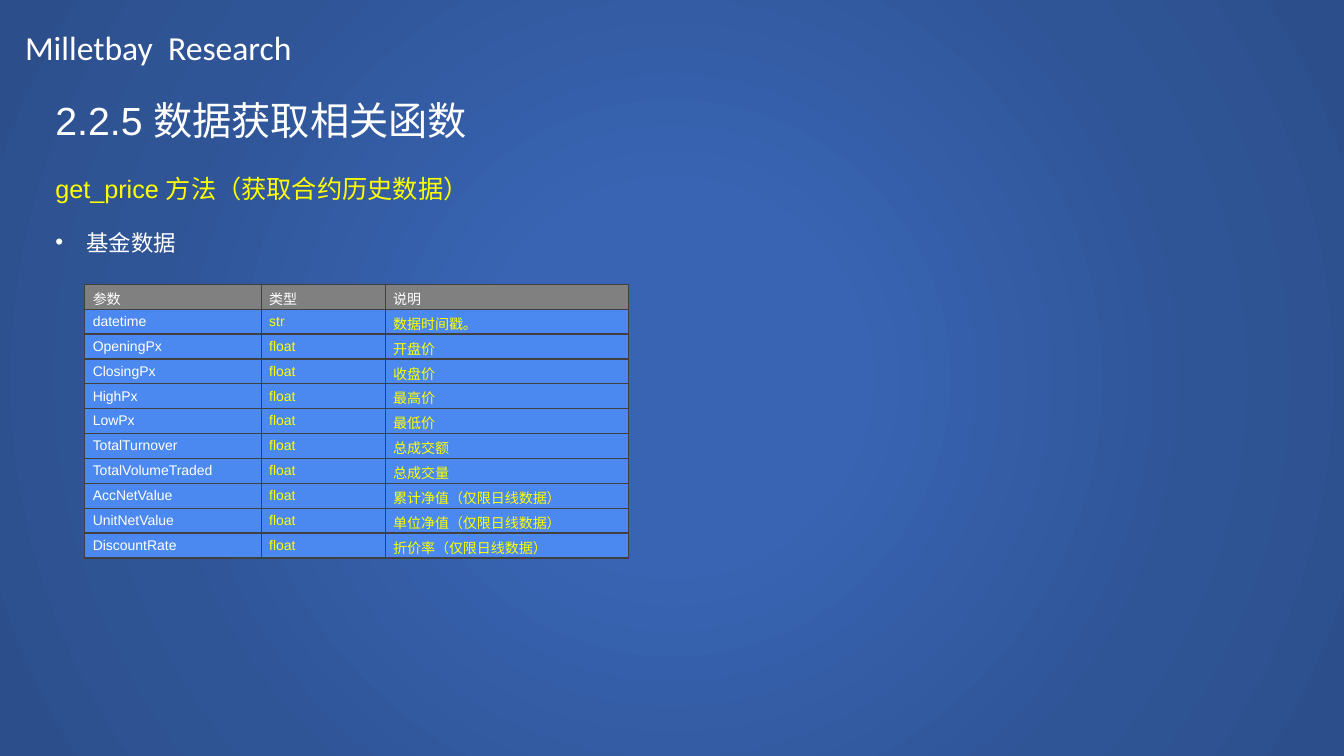
from pptx import Presentation
from pptx.dml.color import RGBColor
from pptx.enum.shapes import MSO_SHAPE
from pptx.enum.text import MSO_ANCHOR, MSO_AUTO_SIZE, PP_ALIGN
from pptx.oxml import parse_xml
from pptx.oxml.ns import nsdecls
from pptx.util import Inches, Pt

RECTANGLE = MSO_SHAPE.RECTANGLE
TOP, MIDDLE = MSO_ANCHOR.TOP, MSO_ANCHOR.MIDDLE
LEFT = PP_ALIGN.LEFT
FIXED_SIZE = MSO_AUTO_SIZE.NONE
TITLE_ONLY = 5

COLORS = {
    "white": "FFFFFF",
    "yellow": "FFFF00",
    "header": "808080",
    "body": "4B89F0",
    "border": "404040",
    "glow": "3864B3",
    "mid": "2F5597",
    "edge": "2C4F8C",
}
BACKDROP_STOPS = [(0, "glow"), (23, "glow"), (69, "mid"), (97, "edge")]

COLUMN_WIDTHS = [1.75, 1.23, 2.41]
ROW_HEIGHT = 2.66 / 11
FIELDS = [
    ("参数", "类型", "说明"),
    ("datetime", "str", "数据时间戳。"),
    ("OpeningPx", "float", "开盘价"),
    ("ClosingPx", "float", "收盘价"),
    ("HighPx", "float", "最高价"),
    ("LowPx", "float", "最低价"),
    ("TotalTurnover", "float", "总成交额"),
    ("TotalVolumeTraded", "float", "总成交量"),
    ("AccNetValue", "float", "累计净值（仅限日线数据）"),
    ("UnitNetValue", "float", "单位净值（仅限日线数据）"),
    ("DiscountRate", "float", "折价率（仅限日线数据）"),
]


def rgb(color):
    return RGBColor.from_string(COLORS[color])


def apply(target, values):
    for name, value in values.items():
        setattr(target, name, value)


def write(paragraph, text, size, color, font="Arial"):
    run = paragraph.add_run()
    run.text = text
    apply(run.font, {"size": Pt(size), "name": font, "bold": False})
    run.font.color.rgb = rgb(color)


def place(shape, left, top, width, height):
    apply(shape, {"left": Inches(left), "top": Inches(top),
                  "width": Inches(width), "height": Inches(height)})


def add_backdrop(slide, width, height):
    backdrop = slide.shapes.add_shape(RECTANGLE, 0, 0, width, height)
    backdrop.shadow.inherit = False
    backdrop.line.fill.background()
    stops = "".join(
        f'<a:gs pos="{position * 1000}"><a:srgbClr val="{COLORS[color]}"/></a:gs>'
        for position, color in BACKDROP_STOPS)
    gradient = parse_xml(
        f'<a:gradFill {nsdecls("a")} rotWithShape="1"><a:gsLst>{stops}</a:gsLst>'
        '<a:path path="circle"><a:fillToRect l="50000" t="50000" r="50000" b="50000"/>'
        '</a:path></a:gradFill>')
    backdrop._element.spPr.insert(2, gradient)
    slide.shapes._spTree.insert(2, backdrop._element)


def add_title(slide, text):
    title = slide.shapes.title
    place(title, 0.45, 0.91, 11.77, 0.65)
    frame = title.text_frame
    apply(frame, {"vertical_anchor": TOP, "auto_size": FIXED_SIZE, "word_wrap": True})
    heading = frame.paragraphs[0]
    heading.alignment = LEFT
    write(heading, text, 28, "white")


def add_text(slide, box, text, size, color, font="Arial"):
    label = slide.shapes.add_textbox(*map(Inches, box))
    label.text_frame.word_wrap = True
    write(label.text_frame.paragraphs[0], text, size, color, font)
    return label.text_frame


def add_bullet(frame, text, size, color):
    item = frame.add_paragraph()
    item.space_before = Pt(18)
    write(item, text, size, color)
    properties = item._p.get_or_add_pPr()
    properties.set("marL", str(Inches(0.31)))
    properties.set("indent", str(-Inches(0.31)))
    properties.append(parse_xml(f'<a:buFont {nsdecls("a")} typeface="Arial"/>'))
    properties.append(parse_xml(f'<a:buChar {nsdecls("a")} char="•"/>'))


def add_borders(cell):
    properties = cell._tc.get_or_add_tcPr()
    for index, side in enumerate(("lnL", "lnR", "lnT", "lnB")):
        properties.insert(index, parse_xml(
            f'<a:{side} {nsdecls("a")} w="{Pt(1)}"><a:solidFill>'
            f'<a:srgbClr val="{COLORS["border"]}"/></a:solidFill></a:{side}>'))


def fill_cell(cell, text, fill, color):
    apply(cell, {"margin_left": Inches(0.08), "margin_right": Inches(0.08),
                 "margin_top": Inches(0.04), "margin_bottom": Inches(0.04),
                 "vertical_anchor": MIDDLE})
    cell.fill.solid()
    cell.fill.fore_color.rgb = rgb(fill)
    write(cell.text_frame.paragraphs[0], text, 10, color)
    add_borders(cell)


def add_field_table(slide, left, top):
    table = slide.shapes.add_table(
        len(FIELDS), len(COLUMN_WIDTHS), Inches(left), Inches(top),
        Inches(sum(COLUMN_WIDTHS)), Inches(ROW_HEIGHT * len(FIELDS))).table
    for column, width in zip(table.columns, COLUMN_WIDTHS):
        column.width = Inches(width)
    for row_index, field in enumerate(FIELDS):
        table.rows[row_index].height = Inches(ROW_HEIGHT)
        is_header = row_index == 0
        for column_index, text in enumerate(field):
            color = "white" if is_header or column_index == 0 else "yellow"
            fill_cell(table.cell(row_index, column_index), text,
                      "header" if is_header else "body", color)


def main():
    deck = Presentation()
    apply(deck, {"slide_width": Inches(13.33), "slide_height": Inches(7.5)})
    slide = deck.slides.add_slide(deck.slide_layouts[TITLE_ONLY])
    add_backdrop(slide, deck.slide_width, deck.slide_height)
    add_title(slide, "2.2.5 数据获取相关函数")
    method = add_text(slide, (0.45, 1.67, 11.77, 1.0),
                      "get_price 方法（获取合约历史数据）", 18, "yellow")
    add_bullet(method, "基金数据", 16, "white")
    add_text(slide, (0.15, 0.22, 5.04, 0.5), "Milletbay  Research", 24, "white", "Calibri")
    add_field_table(slide, 0.84, 2.82)
    deck.save("out.pptx")


if __name__ == "__main__":
    main()
